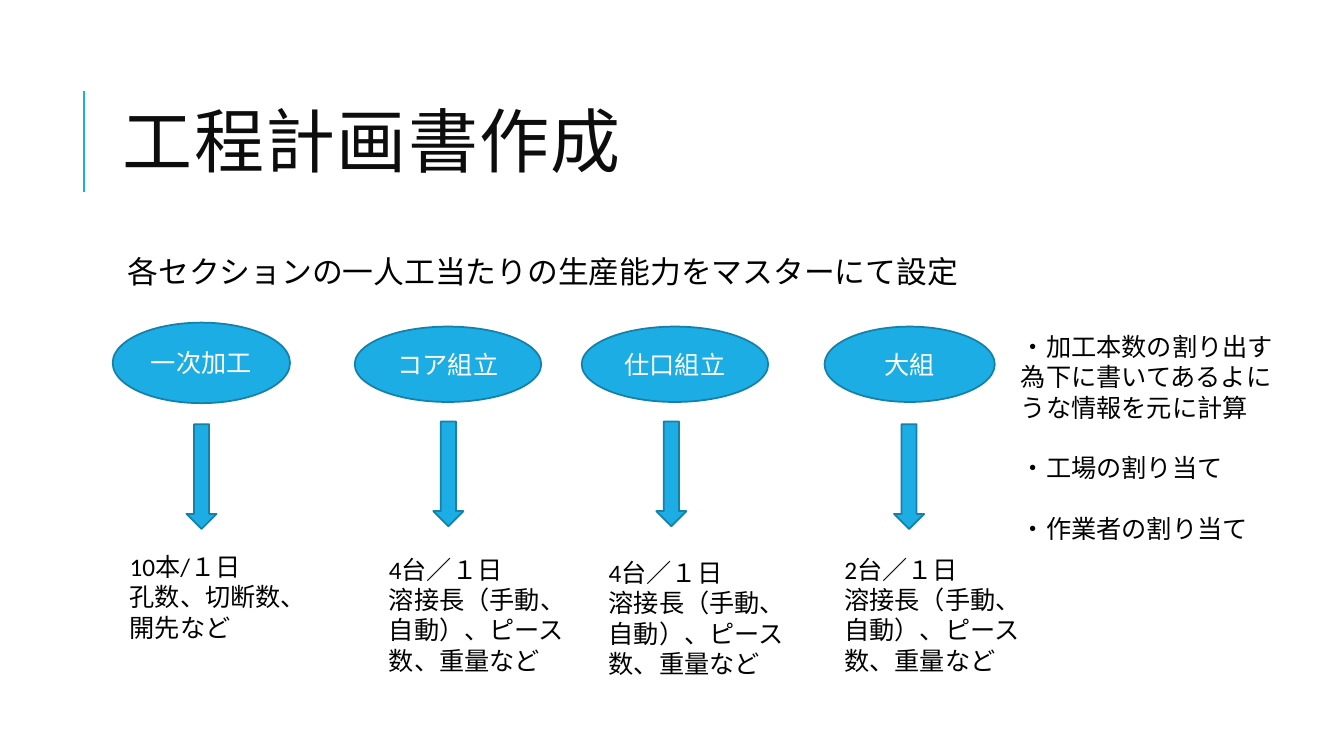
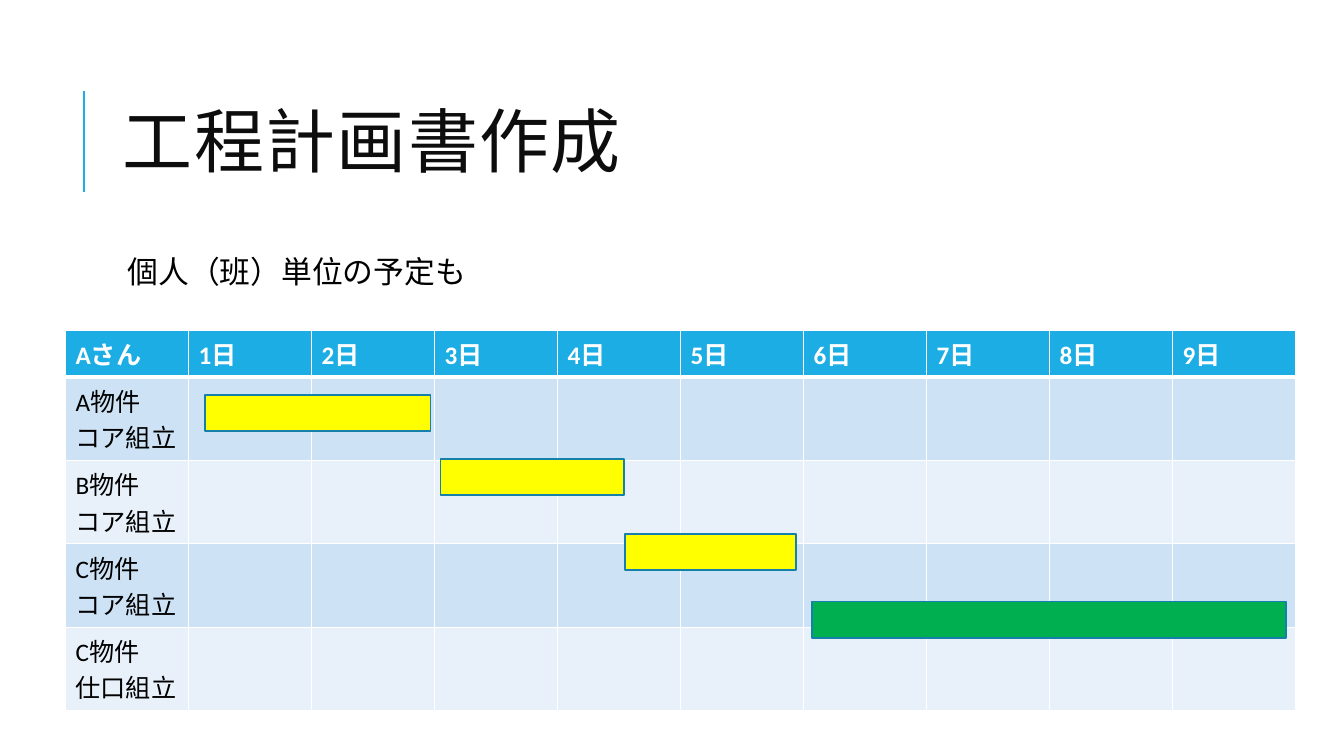
from lxml import etree
from pptx import Presentation
from pptx.dml.color import RGBColor
from pptx.enum import shapes, text
from pptx.oxml.ns import qn
from pptx.util import Cm, Pt

BLUE, DARK_BLUE = "1CADE4", "1580A9"
BLACK, NEAR_BLACK, WHITE = "000000", "0D0D0D", "FFFFFF"
YELLOW, GREEN = "FFFF00", "00B050"
BANDS = ("CDE3F5", "E8F1FA")
TITLE_FONT, BODY_FONT = "Cabin", "Calibri"

TITLE = "工程計画書作成"
WELDING = "溶接長（手動、自動）、ピース数、重量など"

# name, ellipse (left, top, width, height), arrow (left, top), note (left, top), note text
STAGES = [
    ("一次加工", (2.84, 8.13, 4.47, 2.03), (4.7, 10.69), (3.02, 13.77),
     "10本/１日\n孔数、切断数、開先など"),
    ("コア組立", (8.94, 8.23, 4.7, 1.9), (10.92, 10.62), (9.55, 13.84),
     "4台／１日\n" + WELDING),
    ("仕口組立", (14.66, 8.23, 4.7, 1.9), (16.54, 10.62), (15.09, 13.92),
     "4台／１日\n" + WELDING),
    ("大組", (20.78, 8.23, 4.29, 1.9), (22.53, 10.69), (21.03, 13.84),
     "2台／１日\n" + WELDING),
]
CALCULATIONS = ("・加工本数の割り出す為下に書いてあるよにうな情報を元に計算\n"
                "・工場の割り当て\n・作業者の割り当て")

JOBS = ["A物件\nコア組立", "B物件\nコア組立", "C物件\nコア組立", "C物件\n仕口組立"]
DAYS = 9
# left, top, width, colour
BARS = [
    (5.16, 9.96, 5.69, YELLOW),
    (11.1, 11.56, 4.62, YELLOW),
    (15.75, 13.46, 4.32, YELLOW),
    (20.47, 15.16, 11.94, GREEN),
]


def rgb(value):
    return RGBColor.from_string(value)


def box(left, top, width, height):
    return Cm(left), Cm(top), Cm(width), Cm(height)


def write(frame, wording, size=18, colour=BLACK, font=BODY_FONT, bold=False):
    frame.text = wording
    for paragraph in frame.paragraphs:
        for run in paragraph.runs:
            run.font.name = font
            run.font.size = Pt(size)
            run.font.bold = bold
            run.font.color.rgb = rgb(colour)


def place(placeholder, left, top, width, height):
    placeholder.left, placeholder.top, placeholder.width, placeholder.height = box(
        left, top, width, height)


def prepare_layout(prs):
    """Place the shared title and body areas and return their layout."""
    layout = prs.slide_layouts[1]
    title, body = layout.placeholders[0], layout.placeholders[1]
    place(title, 2.84, 1.63, 27, 4.17)
    place(body, 2.84, 6.35, 27, 11.18)
    return layout


def add_slide(prs, layout, lead):
    """Add a slide with the side rule, the title and one lead sentence."""
    slide = prs.slides.add_slide(layout)
    rule = slide.shapes.add_connector(
        shapes.MSO_CONNECTOR.STRAIGHT, Cm(2.12), Cm(4.83), Cm(2.12), Cm(2.29))
    rule.line.color.rgb = rgb(BLUE)
    rule.line.width = Pt(1.5)
    etree.SubElement(rule.element.spPr, qn("a:effectLst"))

    title = slide.shapes.title
    frame = title.text_frame
    write(frame, TITLE, 50, NEAR_BLACK, TITLE_FONT)
    frame.auto_size = text.MSO_AUTO_SIZE.NONE
    frame.vertical_anchor = text.MSO_ANCHOR.MIDDLE
    frame.paragraphs[0].alignment = text.PP_ALIGN.LEFT
    frame.paragraphs[0].line_spacing = 0.8
    for properties in title.element.iter(qn("a:rPr")):
        properties.set("spc", "100")

    body = slide.placeholders[1]
    frame = body.text_frame
    write(frame, lead, 22)
    frame.auto_size = text.MSO_AUTO_SIZE.NONE
    frame.margin_left = frame.margin_right = Cm(0.13)
    frame.margin_top = frame.margin_bottom = Cm(0.13)
    sentence = frame.paragraphs[0]
    sentence.line_spacing = 0.9
    sentence.space_before, sentence.space_after = Pt(12), Pt(2)
    for properties in body.element.iter(qn("a:pPr")):
        properties.set("marL", str(Cm(0.25)))
        properties.set("indent", "0")
        etree.SubElement(properties, qn("a:buNone"))
    return slide


def add_figure(slide, preset, bounds, colour=BLUE):
    figure = slide.shapes.add_shape(preset, *box(*bounds))
    figure.shadow.inherit = False
    figure.fill.solid()
    figure.fill.fore_color.rgb = rgb(colour)
    figure.line.color.rgb = rgb(DARK_BLUE)
    figure.line.width = Pt(1.25)
    return figure


def add_note(slide, bounds, wording):
    frame = slide.shapes.add_textbox(*box(*bounds)).text_frame
    frame.word_wrap = True
    write(frame, wording)
    return frame


def add_stage(slide, name, ellipse, arrow, note, capacity):
    """Add one section: its name, a down arrow and its daily capacity."""
    stage = add_figure(slide, shapes.MSO_SHAPE.OVAL, ellipse)
    write(stage.text_frame, name, colour=WHITE)
    stage.text_frame.vertical_anchor = text.MSO_ANCHOR.MIDDLE
    stage.text_frame.paragraphs[0].alignment = text.PP_ALIGN.CENTER
    add_figure(slide, shapes.MSO_SHAPE.DOWN_ARROW, (*arrow, 0.76, 2.64))
    add_note(slide, (*note, 5.54, 3.33), capacity)


def set_borders(tc, top, bottom):
    """Give a table cell white borders; top and bottom are widths in points."""
    properties = tc.get_or_add_tcPr()
    widths = {"a:lnL": 1, "a:lnR": 1, "a:lnT": top, "a:lnB": bottom}
    for position, (tag, width) in enumerate(widths.items()):
        line = etree.Element(qn(tag), w=str(Pt(width)))
        fill = etree.SubElement(line, qn("a:solidFill"))
        etree.SubElement(fill, qn("a:srgbClr"), val=WHITE)
        properties.insert(position, line)


def add_schedule(slide):
    days = [f"{day}日" for day in range(1, DAYS + 1)]
    rows = [["Aさん"] + days] + [[job] + [""] * DAYS for job in JOBS]
    schedule = slide.shapes.add_table(
        len(rows), DAYS + 1, *box(1.65, 8.33, 31, 9.53))
    table = schedule.table
    for column in table.columns:
        column.width = Cm(3.1)
    for r, row in enumerate(rows):
        header = r == 0
        table.rows[r].height = Cm(1.13 if header else 2.1)
        for c, wording in enumerate(row):
            cell = table.cell(r, c)
            cell.fill.solid()
            cell.fill.fore_color.rgb = rgb(BLUE if header else BANDS[(r - 1) % 2])
            write(cell.text_frame, wording,
                  colour=WHITE if header else BLACK, bold=header)
    for r, tr in enumerate(schedule.element.iter(qn("a:tr"))):
        for tc in tr.iter(qn("a:tc")):
            set_borders(tc, top=3 if r == 1 else 1, bottom=3 if r == 0 else 1)


def main():
    prs = Presentation()
    prs.slide_width, prs.slide_height = Cm(33.87), Cm(19.05)
    layout = prepare_layout(prs)

    capacity = add_slide(
        prs, layout, "各セクションの一人工当たりの生産能力をマスターにて設定")
    for stage in STAGES:
        add_stage(capacity, *stage)
    calculations = add_note(capacity, (25.48, 8.23, 7.04, 5.64), CALCULATIONS)
    for item in calculations.paragraphs[:-1]:
        item.space_after = Pt(21.6)

    personal = add_slide(prs, layout, "個人（班）単位の予定も")
    add_schedule(personal)
    for left, top, width, colour in BARS:
        add_figure(personal, shapes.MSO_SHAPE.RECTANGLE,
                   (left, top, width, 0.91), colour)

    prs.save("out.pptx")


if __name__ == "__main__":
    main()
